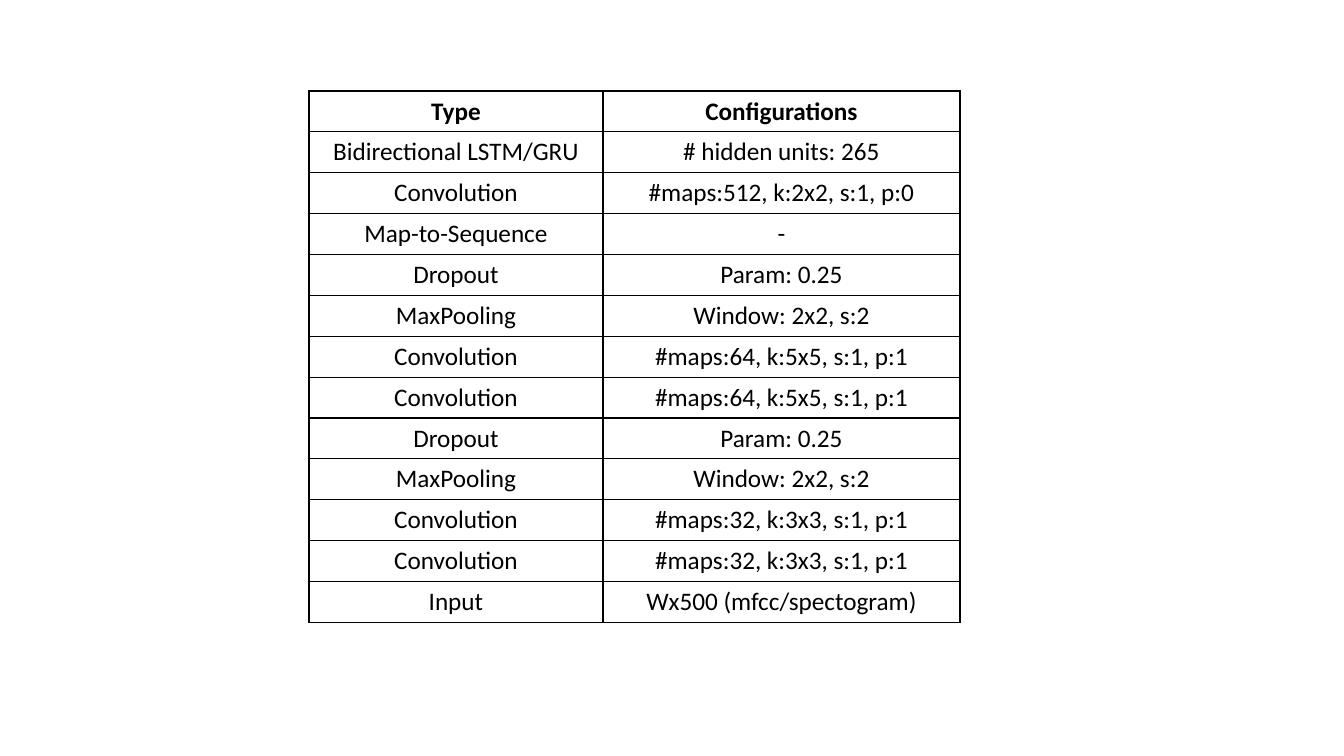
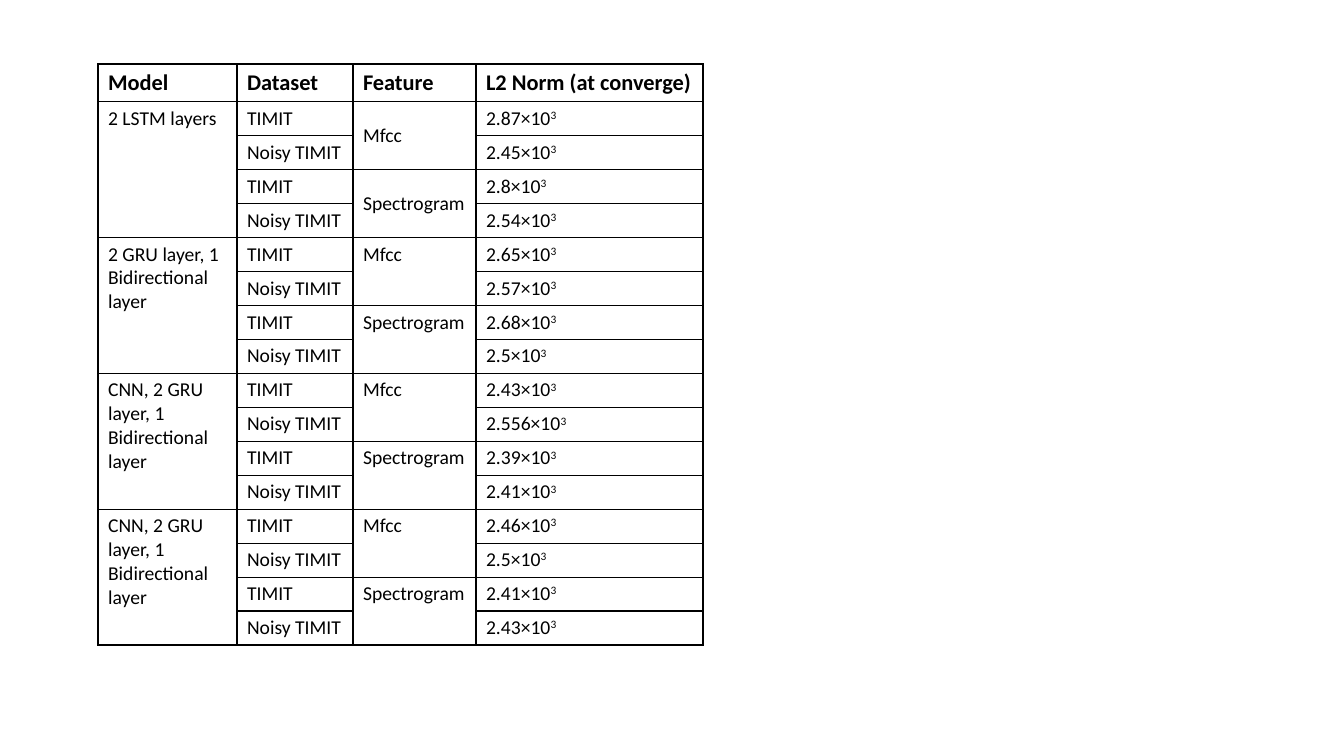
from lxml.etree import SubElement
from pptx import Presentation
from pptx.dml.color import RGBColor
from pptx.enum.text import MSO_ANCHOR as Anchor, PP_ALIGN as Align
from pptx.oxml.ns import qn
from pptx.util import Emu, Pt

EMU_PER_PX = 914400 / 100.8
FONT = "Calibri"
BLACK = "000000"

LAYERS = [
    ("Type", "Configurations"),
    ("Bidirectional LSTM/GRU", "# hidden units: 265"),
    ("Convolution", "#maps:512, k:2x2, s:1, p:0"),
    ("Map-to-Sequence", "-"),
    ("Dropout", "Param: 0.25"),
    ("MaxPooling", "Window: 2x2, s:2"),
    ("Convolution", "#maps:64, k:5x5, s:1, p:1"),
    ("Convolution", "#maps:64, k:5x5, s:1, p:1"),
    ("Dropout", "Param: 0.25"),
    ("MaxPooling", "Window: 2x2, s:2"),
    ("Convolution", "#maps:32, k:3x3, s:1, p:1"),
    ("Convolution", "#maps:32, k:3x3, s:1, p:1"),
    ("Input", "Wx500 (mfcc/spectogram)"),
]

NORM_HEADINGS = ["Model", "Dataset", "Feature", "L2 Norm (at converge)"]
DATASETS = ["TIMIT", "Noisy TIMIT"]
FEATURES = ["Mfcc", "Spectrogram"]
# Model, then its norms in thousands: every feature with every dataset
NORMS = [
    ("2 LSTM layers", ["2.87", "2.45", "2.8", "2.54"]),
    ("2 GRU layer, 1 Bidirectional layer", ["2.65", "2.57", "2.68", "2.5"]),
    ("CNN, 2 GRU layer, 1 Bidirectional layer", ["2.43", "2.556", "2.39", "2.41"]),
    ("CNN, 2 GRU layer, 1 Bidirectional layer", ["2.46", "2.5", "2.41", "2.43"]),
]


def px(length):
    return Emu(round(length * EMU_PER_PX))


def color(value):
    return RGBColor.from_string(value)


def write(cell, text, size, bold=False, align=Align.LEFT, anchor=Anchor.TOP, superscript=""):
    cell.vertical_anchor = anchor
    para = cell.text_frame.paragraphs[0]
    para.alignment = align
    for part in filter(None, (text, superscript)):
        span = para.add_run()
        span.text = part
        span.font.name = FONT
        span.font.size = Pt(size)
        span.font.bold = bold
        span.font.color.rgb = color(BLACK)
    if superscript:
        span.font._element.set("baseline", "30000")


def outline(cell):
    """Give the cell thin black borders and no fill."""
    properties = cell._tc.get_or_add_tcPr()
    for side in ("a:lnL", "a:lnR", "a:lnT", "a:lnB"):
        line = SubElement(properties, qn(side), w=str(Pt(1)))
        SubElement(SubElement(line, qn("a:solidFill")), qn("a:srgbClr"), val=BLACK)
    cell.fill.background()


def add_grid(slide, left, top, widths, heights):
    """Add an empty table whose cells are all outlined."""
    frame = slide.shapes.add_table(len(heights), len(widths), px(left), px(top),
                                   px(sum(widths)), px(sum(heights)))
    table = frame.table
    table.first_row = table.horz_banding = False
    for column, width in zip(table.columns, widths):
        column.width = px(width)
    for row, height in zip(table.rows, heights):
        row.height = px(height)
    for cell in table.iter_cells():
        outline(cell)
    return table


def merge_down(table, row, column, count):
    cell = table.cell(row, column)
    cell.merge(table.cell(row + count - 1, column))
    return cell


def add_layer_table(slide, left, top):
    row_height = 531 / len(LAYERS)
    table = add_grid(slide, left, top, [294, 357], [row_height] * len(LAYERS))
    for row, texts in enumerate(LAYERS):
        for column, text in enumerate(texts):
            write(table.cell(row, column), text, 18, bold=row == 0,
                  align=Align.CENTER, anchor=Anchor.MIDDLE)


def add_norm_table(slide, left, top):
    group = len(FEATURES) * len(DATASETS)
    table = add_grid(slide, left, top, [139, 116, 123, 227],
                     [37] + [34] * (group * len(NORMS)))
    for column, heading in enumerate(NORM_HEADINGS):
        write(table.cell(0, column), heading, 16, bold=True)
    for index, (model, norms) in enumerate(NORMS):
        first = 1 + index * group
        write(merge_down(table, first, 0, group), model, 14)
        for order, feature in enumerate(FEATURES):
            cell = merge_down(table, first + order * len(DATASETS), 2, len(DATASETS))
            write(cell, feature, 14, anchor=Anchor.TOP if index else Anchor.MIDDLE)
        for offset, norm in enumerate(norms):
            row = first + offset
            write(table.cell(row, 1), DATASETS[offset % len(DATASETS)], 14)
            write(table.cell(row, 3), f"{norm}×10", 14, superscript="3")


def main():
    deck = Presentation()
    deck.slide_width, deck.slide_height = px(1344), px(756)
    blank = deck.slide_layouts[6]
    add_layer_table(deck.slides.add_slide(blank), 309, 91)
    add_norm_table(deck.slides.add_slide(blank), 98, 64)
    deck.save("out.pptx")


if __name__ == "__main__":
    main()
